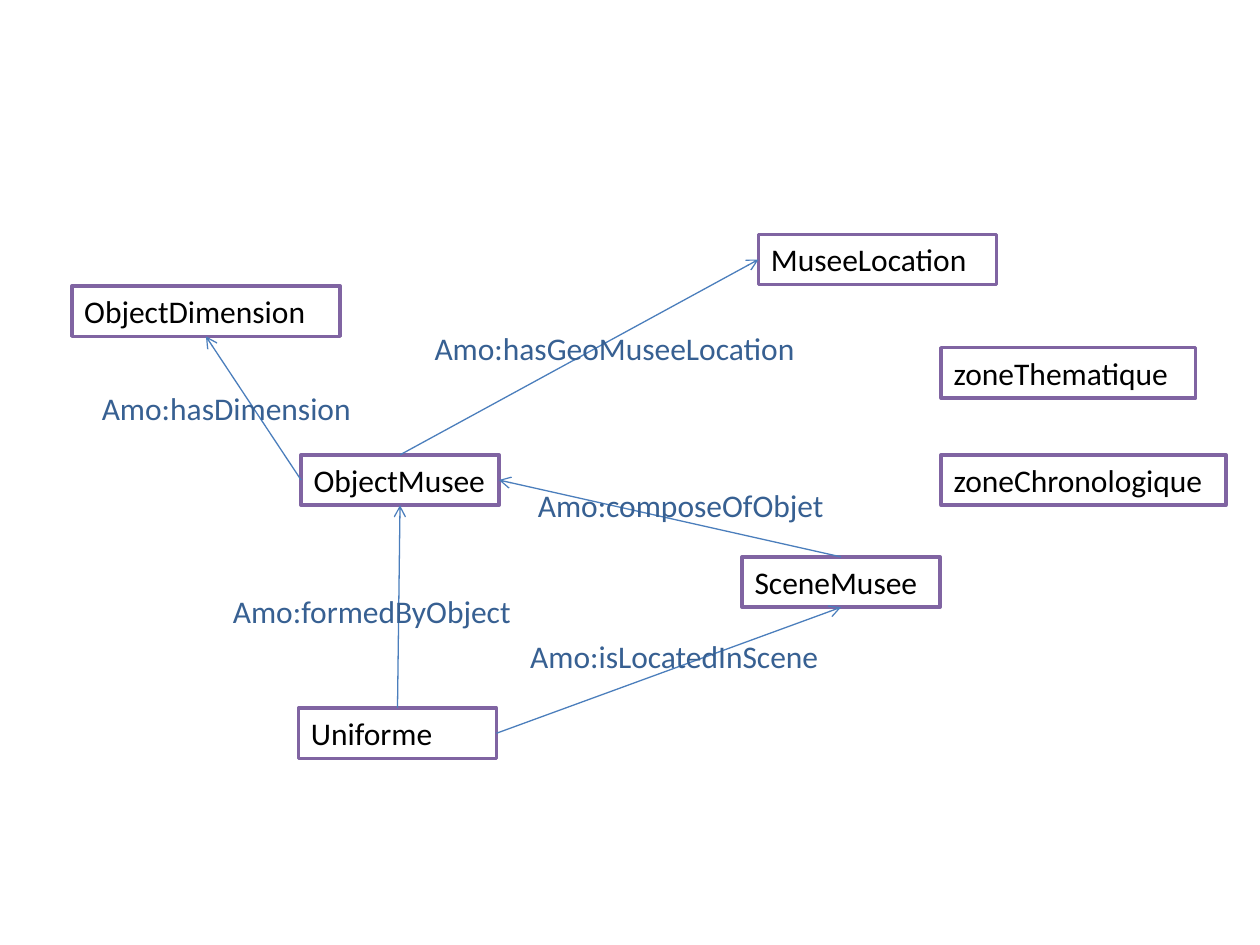
from lxml.etree import SubElement
from pptx import Presentation
from pptx.dml.color import RGBColor
from pptx.enum.shapes import MSO_CONNECTOR as Connector, MSO_SHAPE as Shape
from pptx.enum.text import MSO_ANCHOR as Anchor, MSO_AUTO_SIZE as AutoSize, PP_ALIGN as Align
from pptx.oxml.ns import qn
from pptx.util import Inches, Pt

COLORS = {"text": "000000", "label": "376092", "box": "FFFFFF",
          "border": "8064A2", "arrow": "4B7EBC"}
TOP, LEFT, BOTTOM, RIGHT = range(4)  # connection sites of a rectangle
ROW_HEIGHT = 0.4

# class name: left, top, width
CLASSES = {
    "ObjectMusee": (2.39, 3.61, 1.57),
    "MuseeLocation": (6.02, 1.86, 1.89),
    "SceneMusee": (5.89, 4.42, 1.57),
    "Uniforme": (2.37, 5.62, 1.57),
    "zoneChronologique": (7.47, 3.61, 2.26),
    "zoneThematique": (7.47, 2.76, 2.02),
    "ObjectDimension": (0.57, 2.27, 2.13),
}
# source, site, target, site, label, label left, top, width
RELATIONS = [
    ("SceneMusee", TOP, "ObjectMusee", RIGHT, "Amo:composeOfObjet", 4.17, 3.81, 2.52),
    ("ObjectMusee", TOP, "MuseeLocation", LEFT, "Amo:hasGeoMuseeLocation", 3.35, 2.56, 3.15),
    ("Uniforme", TOP, "ObjectMusee", BOTTOM, "Amo:formedByObject", 1.75, 4.65, 2.42),
    ("Uniforme", RIGHT, "SceneMusee", BOTTOM, "Amo:isLocatedInScene", 4.11, 5.01, 2.64),
    ("ObjectMusee", LEFT, "ObjectDimension", BOTTOM, "Amo:hasDimension", 0.71, 3.04, 2.6),
]


def rgb(name):
    """Return the named colour."""
    return RGBColor.from_string(COLORS[name])


class Diagram:
    """Draws class boxes, arrows and labels in one style."""

    def __init__(self, slide, font="Calibri", size=18):
        """Keep the slide and the text style."""
        self.slide, self.font, self.size = slide, font, size

    def set_text(self, shape, text, color):
        """Put one left-aligned line of text in a shape."""
        frame = shape.text_frame
        frame.word_wrap = True
        frame.auto_size = AutoSize.SHAPE_TO_FIT_TEXT
        frame.vertical_anchor = Anchor.TOP
        paragraph = frame.paragraphs[0]
        paragraph.text = text
        paragraph.alignment = Align.LEFT
        paragraph.font.name = self.font
        paragraph.font.size = Pt(self.size)
        paragraph.font.color.rgb = rgb(color)

    def box(self, text, left, top, width):
        """Add a bordered class box."""
        shape = self.slide.shapes.add_shape(
            Shape.RECTANGLE, Inches(left), Inches(top), Inches(width), Inches(ROW_HEIGHT))
        shape.shadow.inherit = False
        shape.fill.solid()
        shape.fill.fore_color.rgb = rgb("box")
        shape.line.color.rgb = rgb("border")
        shape.line.width = Pt(2)
        self.set_text(shape, text, "text")
        return shape

    def label(self, text, left, top, width):
        """Add a relation label."""
        shape = self.slide.shapes.add_textbox(
            Inches(left), Inches(top), Inches(width), Inches(ROW_HEIGHT))
        self.set_text(shape, text, "label")

    def arrow(self, source, source_site, target, target_site):
        """Join two boxes with an open-headed arrow."""
        connector = self.slide.shapes.add_connector(Connector.STRAIGHT, 0, 0, 0, 0)
        connector.begin_connect(source, source_site)
        connector.end_connect(target, target_site)
        connector.line.color.rgb = rgb("arrow")
        connector.line.width = Pt(0.75)
        properties = connector._element.spPr
        SubElement(properties.find(qn("a:ln")), qn("a:tailEnd"), type="arrow")
        SubElement(properties, qn("a:effectLst"))


def main():
    """Build and save the slide."""
    presentation = Presentation()
    presentation.slide_width, presentation.slide_height = Inches(10), Inches(7.5)
    diagram = Diagram(presentation.slides.add_slide(presentation.slide_layouts[6]))
    boxes = {name: diagram.box(name, *place) for name, place in CLASSES.items()}
    for source, source_site, target, target_site, *_ in RELATIONS:
        diagram.arrow(boxes[source], source_site, boxes[target], target_site)
    for relation in RELATIONS:
        diagram.label(*relation[4:])
    presentation.save("out.pptx")


main()
